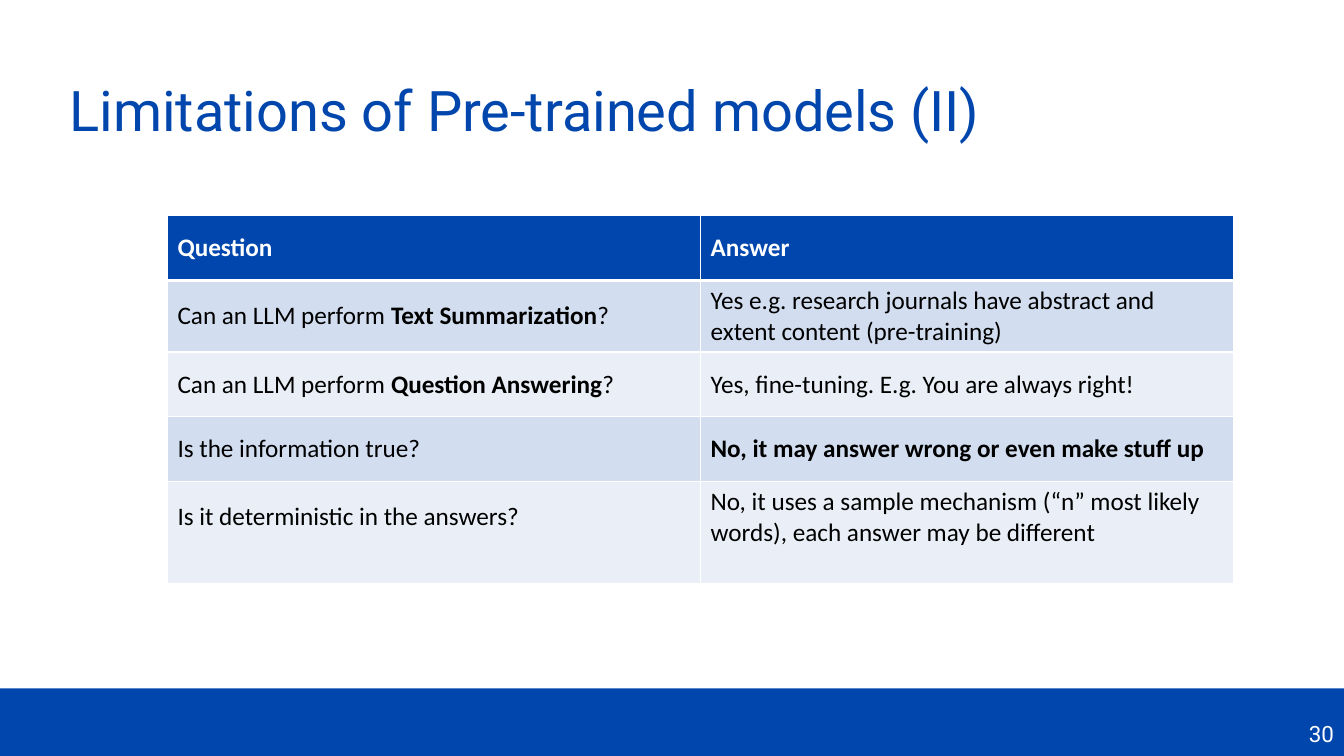
from lxml.etree import SubElement
from pptx import Presentation
from pptx.dml.color import RGBColor
from pptx.enum.shapes import MSO_SHAPE
from pptx.enum.text import MSO_ANCHOR, PP_ALIGN
from pptx.oxml.ns import qn
from pptx.util import Cm, Pt

COLORS = {
    "blue": "0046AD",
    "white": "FFFFFF",
    "black": "000000",
    "odd_row": "D2DEEF",
    "even_row": "EAEFF7",
}
ROWS = [
    ("*Question*", "*Answer*"),
    ("Can an LLM perform *Text Summarization*?",
     "Yes e.g. research journals have abstract and extent content (pre-training)"),
    ("Can an LLM perform *Question Answering*?",
     "Yes, fine-tuning. E.g. You are always right!"),
    ("Is the information true?", "*No, it may answer wrong or even make stuff up*"),
    ("Is it deterministic in the answers?",
     "No, it uses a sample mechanism (“n” most likely words), each answer may be different"),
]
ROW_HEIGHTS = [1.63, 1.8, 1.63, 1.63, 2.57]
LAST_ROW_BOTTOM_MARGIN = 0.9


def color(name):
    """Return the named colour."""
    return RGBColor.from_string(COLORS[name])


def style_run(run, font_name, size, color_name, bold=False):
    """Set the font of one run."""
    run.font.name = font_name
    run.font.size = Pt(size)
    run.font.bold = bold
    run.font.color.rgb = color(color_name)


def set_borders(cell, top, bottom):
    """Draw white cell borders with the given top and bottom widths in points."""
    properties = cell._tc.get_or_add_tcPr()
    widths = {"lnL": 1, "lnR": 1, "lnT": top, "lnB": bottom}
    for position, (side, width) in enumerate(widths.items()):
        line = SubElement(properties, qn(f"a:{side}"), w=str(Pt(width)))
        fill = SubElement(line, qn("a:solidFill"))
        SubElement(fill, qn("a:srgbClr"), val=COLORS["white"])
        properties.insert(position, line)


def fill_cell(cell, marked_text, row_index):
    """Write text, with bold parts between asterisks, and style the cell."""
    is_header = row_index == 0
    paragraph = cell.text_frame.paragraphs[0]
    for index, part in enumerate(marked_text.split("*")):
        if part:
            run = paragraph.add_run()
            run.text = part
            style_run(run, "Calibri", 18, "white" if is_header else "black", index % 2 == 1)
    cell.vertical_anchor = MSO_ANCHOR.MIDDLE
    cell.fill.solid()
    fill_name = "blue" if is_header else ("even_row", "odd_row")[row_index % 2]
    cell.fill.fore_color.rgb = color(fill_name)
    set_borders(cell, top=3 if row_index == 1 else 1, bottom=3 if is_header else 1)


def add_footer(slide, left, top, width, height, number):
    """Add the footer bar with the slide number at its right."""
    shape = slide.shapes.add_shape(MSO_SHAPE.RECTANGLE, left, top, width, height)
    shape.shadow.inherit = False
    shape.fill.solid()
    shape.fill.fore_color.rgb = color("blue")
    shape.line.fill.background()
    text_frame = shape.text_frame
    text_frame.text = number
    text_frame.vertical_anchor = MSO_ANCHOR.BOTTOM
    text_frame.margin_bottom = Cm(0.33)
    paragraph = text_frame.paragraphs[0]
    paragraph.alignment = PP_ALIGN.RIGHT
    style_run(paragraph.runs[0], "Roboto", 16, "white")


def add_title(slide, left, top, width, height, title):
    """Add the slide title, centred vertically in its box."""
    text_frame = slide.shapes.add_textbox(left, top, width, height).text_frame
    text_frame.word_wrap = True
    text_frame.vertical_anchor = MSO_ANCHOR.MIDDLE
    text_frame.text = title
    paragraph = text_frame.paragraphs[0]
    paragraph.line_spacing = 0.9
    style_run(paragraph.runs[0], "Roboto", 40, "blue")


def add_question_table(slide, left, top, width, height):
    """Add the table of questions and answers."""
    table = slide.shapes.add_table(len(ROWS), len(ROWS[0]), left, top, width, height).table
    for column in table.columns:
        column.width = width // len(ROWS[0])
    for row_index, texts in enumerate(ROWS):
        table.rows[row_index].height = Cm(ROW_HEIGHTS[row_index])
        for column_index, text in enumerate(texts):
            fill_cell(table.cell(row_index, column_index), text, row_index)
    for cell in table.rows[len(ROWS) - 1].cells:
        cell.margin_bottom = Cm(LAST_ROW_BOTTOM_MARGIN)


def main():
    """Build and save the presentation."""
    presentation = Presentation()
    presentation.slide_width = Cm(33.87)
    presentation.slide_height = Cm(19.05)
    slide = presentation.slides.add_slide(presentation.slide_layouts[6])
    add_footer(slide, 0, Cm(17.35), presentation.slide_width, Cm(1.8), "30")
    add_title(slide, Cm(1.5), Cm(1.02), Cm(30.05), Cm(3.68),
              "Limitations of Pre-trained models (II)")
    add_question_table(slide, Cm(4.22), Cm(5.44), Cm(26.87), Cm(sum(ROW_HEIGHTS)))
    presentation.save("out.pptx")


if __name__ == "__main__":
    main()
